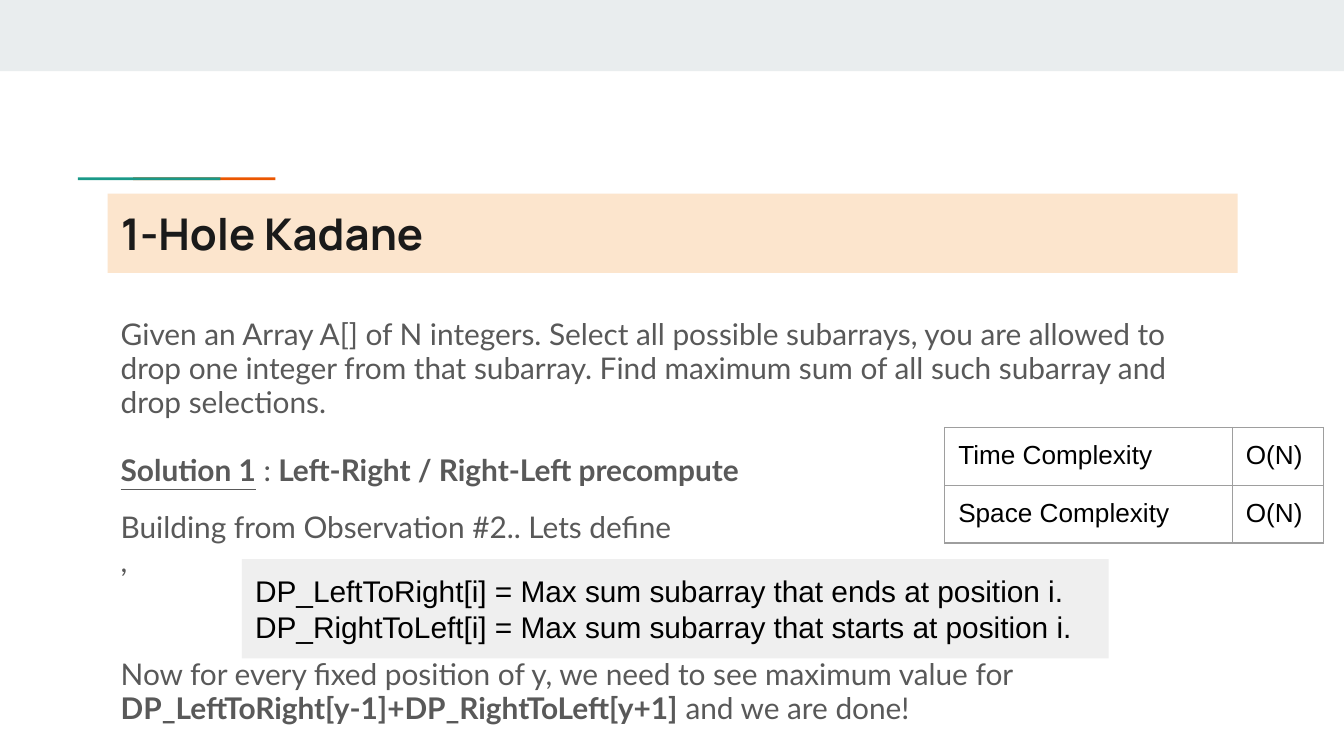
from typing import NamedTuple

from lxml.etree import SubElement
from pptx import Presentation
from pptx.dml.color import RGBColor
from pptx.enum.shapes import MSO_SHAPE
from pptx.enum.text import MSO_ANCHOR, MSO_AUTO_SIZE, PP_ALIGN
from pptx.oxml.ns import qn
from pptx.util import Inches, Pt

HEX = {
    "band": "E9EDEE", "orange": "EB5600", "green": "1A9988", "peach": "FCE5CD",
    "title": "1A1A1A", "body": "595959", "box": "EFEFEF", "black": "000000",
    "border": "9E9E9E",
}


class Box(NamedTuple):
    left: float
    top: float
    width: float
    height: float


class Bar(NamedTuple):
    box: Box
    color: str


class Style(NamedTuple):
    font: str
    size: float
    color: str


class Run(NamedTuple):
    text: str
    form: dict = {}


class Para(NamedTuple):
    runs: list[Run]
    form: dict = {}


BOLD = {"bold": True}
SIDES = ("left", "top", "right", "bottom")
PADS = {f"margin_{side}": Inches(0.1) for side in SIDES}
TITLE = Style("Manrope", 23.4, "title")
BODY = Style("Lato", 16, "body")
CODE = Style("Arial", 16, "black")
CELL = Style("Arial", 14, "black")

BARS = [
    Bar(Box(0, 0, 10, 0.53), "band"),
    Bar(Box(0.99, 1.32, 1.06, 0.02), "orange"),
    Bar(Box(0.58, 1.32, 1.06, 0.02), "green"),
]
STEPS = [
    Para([Run("Given an Array A[] of N integers. Select all possible subarrays, "
              "you are allowed to drop one integer from that subarray. Find "
              "maximum sum of all such subarray and drop selections.")]),
    Para([Run("Solution 1", {"bold": True, "underline": True}), Run(" :"),
          Run(" Left-Right / Right-Left precompute", BOLD)],
         {"space_before": Pt(18.24)}),
    Para([Run("Building from Observation #2.. Lets define")],
         {"space_before": Pt(12)}),
    Para([Run(",")]),
    Para([Run("Now for every fixed position of y, we need to see maximum value for "),
          Run("DP_LeftToRight[y-1]+DP_RightToLeft[y+1]", BOLD),
          Run(" and we are done!")],
         {"space_before": Pt(42.24), "space_after": Pt(12)}),
]
TERMS = [
    Para([Run("DP_LeftToRight[i] = Max sum subarray that ends at position i.")]),
    Para([Run("DP_RightToLeft[i] = Max sum subarray that starts at position i.")]),
]
COSTS = [("Time Complexity", "O(N)"), ("Space Complexity", "O(N)")]
WIDTHS = [2.14, 0.68]
ROW = 0.43


def apply(item, form: dict) -> None:
    for name, value in form.items():
        setattr(item, name, value)


def rgb(name: str) -> RGBColor:
    return RGBColor.from_string(HEX[name])


def paint(shape, color: str) -> None:
    shape.fill.solid()
    shape.fill.fore_color.rgb = rgb(color)


def place(shape, box: Box) -> None:
    apply(shape, {name: Inches(size) for name, size in box._asdict().items()})


def write(frame, paras: list[Para], style: Style, space: float = 1.0) -> None:
    for i, para in enumerate(paras):
        line = frame.add_paragraph() if i else frame.paragraphs[0]
        apply(line, {"alignment": PP_ALIGN.LEFT, "line_spacing": space, **para.form})
        for part in para.runs:
            run = line.add_run()
            run.text = part.text
            apply(run.font, {"name": style.font, "size": Pt(style.size),
                             "bold": False, **part.form})
            run.font.color.rgb = rgb(style.color)


def fit(frame) -> None:
    """Wrap the text from the top edge, with even margins."""
    apply(frame, {**PADS, "word_wrap": True, "vertical_anchor": MSO_ANCHOR.TOP,
                  "auto_size": MSO_AUTO_SIZE.NONE})


def add_bar(slide, bar: Bar):
    """Draw a plain filled rectangle without outline or shadow."""
    shape = slide.shapes.add_shape(MSO_SHAPE.RECTANGLE, *map(Inches, bar.box))
    shape.shadow.inherit = False
    shape.line.fill.background()
    paint(shape, bar.color)
    return shape


def edge(cell) -> None:
    """Draw the four borders; they must come before the cell's fill."""
    props = cell._tc.get_or_add_tcPr()
    for i, side in enumerate(("lnL", "lnR", "lnT", "lnB")):
        line = SubElement(props, qn(f"a:{side}"), w=str(Pt(0.75)))
        props.insert(i, line)
        fill = SubElement(line, qn("a:solidFill"))
        SubElement(fill, qn("a:srgbClr"), val=HEX["border"])


def add_costs(slide) -> None:
    box = Box(7.03, 3.18, sum(WIDTHS), ROW * len(COSTS))
    table = slide.shapes.add_table(len(COSTS), len(WIDTHS), *map(Inches, box)).table
    apply(table, {"first_row": False, "horz_banding": False})
    for col, width in zip(table.columns, WIDTHS):
        col.width = Inches(width)
    for row, texts in zip(table.rows, COSTS):
        row.height = Inches(ROW)
        for cell, text in zip(row.cells, texts):
            cell.fill.background()
            edge(cell)
            apply(cell, PADS)
            write(cell.text_frame, [Para([Run(text)])], CELL)


def main() -> None:
    deck = Presentation()
    wide = Inches(10)
    apply(deck, {"slide_width": wide, "slide_height": wide * 9 // 16})
    slide = deck.slides.add_slide(deck.slide_layouts[5])
    for bar in BARS:
        add_bar(slide, bar)

    title = slide.shapes.title
    place(title, Box(0.8, 1.44, 8.41, 0.59))
    paint(title, "peach")
    fit(title.text_frame)
    write(title.text_frame, [Para([Run("1-Hole Kadane", BOLD)])], TITLE)

    body = slide.shapes.add_textbox(*map(Inches, Box(0.8, 2.27, 8.41, 3.21)))
    fit(body.text_frame)
    write(body.text_frame, STEPS, BODY, 0.95)

    terms = add_bar(slide, Bar(Box(1.8, 4.16, 6.45, 0.74), "box"))
    fit(terms.text_frame)
    write(terms.text_frame, TERMS, CODE)
    add_costs(slide)
    deck.save("out.pptx")


if __name__ == "__main__":
    main()
